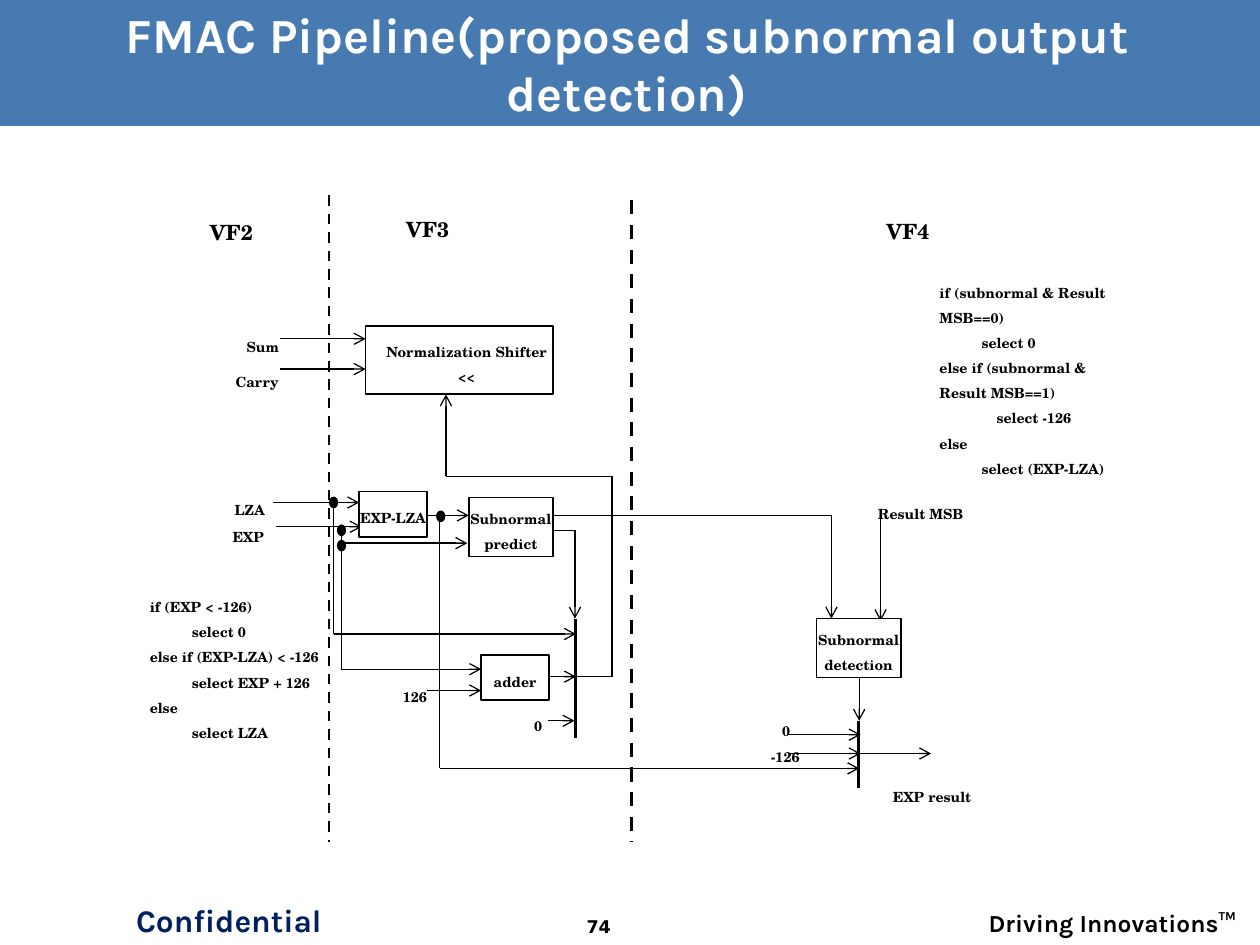
"""Build the FMAC pipeline slide on proposed subnormal output detection."""
from lxml import etree
from pptx import Presentation
from pptx.dml.color import RGBColor
from pptx.enum.dml import MSO_LINE
from pptx.enum.shapes import MSO_CONNECTOR, MSO_SHAPE
from pptx.enum.text import MSO_ANCHOR, PP_ALIGN
from pptx.oxml.ns import qn
from pptx.util import Cm, Pt

BLACK = RGBColor(0x00, 0x00, 0x00)
WHITE = RGBColor(0xFF, 0xFF, 0xFF)
BLUE = RGBColor(0x47, 0x7A, 0xB1)
NAVY = RGBColor(0x00, 0x20, 0x60)
LEFT, MID, RIGHT = PP_ALIGN.LEFT, PP_ALIGN.CENTER, PP_ALIGN.RIGHT
RECT, OVAL = MSO_SHAPE.RECTANGLE, MSO_SHAPE.OVAL
MIDDLE, TOP = MSO_ANCHOR.MIDDLE, MSO_ANCHOR.TOP
STRAIGHT, DASH = MSO_CONNECTOR.STRAIGHT, MSO_LINE.DASH
SERIF, SANS, PLAIN = "TeX Gyre Schola", "Karla", "DejaVu Sans"

deck = Presentation()
deck.slide_width, deck.slide_height = Cm(25.4), Cm(19.05)
slide = deck.slides.add_slide(deck.slide_layouts[6])
shapes = slide.shapes


def write(shape, text, size, align, font=SERIF, color=BLACK, space=1.5, anchor=MIDDLE):
    frame = shape.text_frame
    frame.text = text
    frame.word_wrap = True
    frame.vertical_anchor = anchor
    for para in frame.paragraphs:
        para.alignment = align
        para.line_spacing = space
        for run in para.runs:
            run.font.size = Pt(size)
            run.font.bold = True
            run.font.color.rgb = color
            run.font.name = font
    return frame


def wire(points, width=0.75, arrow=True, dash=None):
    for start, end in zip(points, points[1:]):
        line = shapes.add_connector(STRAIGHT, *map(Cm, start + end))
        line.line.color.rgb = BLACK
        line.line.width = Pt(width)
        if dash:
            line.line.dash_style = dash
        props = line._element.spPr
        if arrow and end == points[-1]:
            tail = etree.SubElement(props.find(qn("a:ln")), qn("a:tailEnd"))
            tail.set("type", "arrow")
        etree.SubElement(props, qn("a:effectLst"))


band = shapes.add_shape(RECT, 0, 0, Cm(25.4), Cm(2.54))
band.shadow.inherit = False
band.fill.solid()
band.fill.fore_color.rgb = BLUE
band.line.fill.background()

title = shapes.add_textbox(Cm(0.56), Cm(0.43), Cm(24.16), Cm(1.68))
frame = write(title, "FMAC Pipeline(proposed subnormal output detection)",
              28, MID, SANS, WHITE, 1)
props = frame.paragraphs[0].runs[0].font._element
glow = etree.Element(qn("a:effectLst"))
shade = etree.SubElement(glow, qn("a:outerShdw"), dist="35921", dir="2700000")
etree.SubElement(shade, qn("a:srgbClr"), val="000000")
props.insert(1, glow)

FOOTER = [
    ("Confidential", 2.39, 18.03, 4.45, 1.07, 18, MID, SANS, NAVY),
    ("74", 10.9, 18.34, 2.34, 0.71, 10, MID, PLAIN, BLACK),
    ("Driving Innovations™", 19.15, 18.19, 6.02, 0.69, 14, RIGHT, SANS, BLACK),
]
for text, x, y, w, h, size, align, font, color in FOOTER:
    box = shapes.add_textbox(Cm(x), Cm(y), Cm(w), Cm(h))
    write(box, text, size, align, font, color, 1, TOP)

LABELS = [
    ("VF2", 3.56, 4.19, 2.21, 12, MID),
    ("VF3", 7.52, 4.14, 2.21, 12, MID),
    ("VF4", 17.2, 4.17, 2.21, 12, MID),
    ("Sum", 4.5, 6.55, 1.6, 8, MID),
    ("Carry", 4.32, 7.26, 1.73, 8, MID),
    ("LZA", 4.17, 9.83, 1.73, 8, MID),
    ("EXP", 4.14, 10.39, 1.73, 8, MID),
    ("126", 7.87, 13.61, 1.24, 8, LEFT),
    ("0", 10.52, 14.2, 0.71, 8, LEFT),
    ("0", 15.52, 14.3, 0.71, 8, LEFT),
    ("-126", 15.29, 14.81, 1.17, 8, LEFT),
    ("Result MSB", 17.45, 9.93, 4.8, 8, LEFT),
    ("EXP result", 17.75, 15.62, 2.21, 8, LEFT),
]
for text, x, y, w, size, align in LABELS:
    label = shapes.add_textbox(Cm(x), Cm(y), Cm(w), Cm(0.71))
    write(label, text, size, align)

RULES = [
    (2.77, 11.58, 3.68,
     [("if (EXP < -126)", 0), ("select 0", 0.85),
      ("else if (EXP-LZA) < -126", 0), ("select EXP + 126", 0.85),
      ("else", 0), ("select LZA", 0.85)]),
    (18.69, 4.95, 5.28,
     [("if (subnormal & Result MSB==0)", 0), ("select 0", 0.85),
      ("else if (subnormal & Result MSB==1)", 0), ("select -126", 1.15),
      ("else", 0), ("select (EXP-LZA)", 0.85)]),
]
for x, y, h, rows in RULES:
    note = shapes.add_textbox(Cm(x), Cm(y), Cm(4.17), Cm(h))
    frame = write(note, "\n".join(text for text, _ in rows), 8, LEFT)
    for para, (_, indent) in zip(frame.paragraphs, rows):
        para._p.get_or_add_pPr().set("indent", str(Cm(indent)))

wire([(6.63, 3.94), (6.63, 16.97)], 1.5, False, DASH)
wire([(12.73, 4.04), (12.73, 16.97)], 2, False, DASH)
for x, top, base in [(11.61, 12.47, 14.88), (17.3, 14.53, 15.88)]:
    wire([(x, top), (x, base)], 1.75, False)

WIRES = [
    [(5.64, 6.83), (7.37, 6.83)],
    [(5.64, 7.44), (7.37, 7.44)],
    [(5.51, 10.13), (7.24, 10.13)],
    [(5.56, 10.62), (7.29, 10.62)],
    [(8.61, 10.39), (9.45, 10.39)],
    [(6.88, 10.95), (9.42, 10.95)],
    [(6.88, 10.62), (6.88, 13.49), (9.7, 13.49)],
    [(8.61, 13.92), (9.7, 13.92)],
    [(6.73, 10.13), (6.73, 12.78), (11.61, 12.78)],
    [(11.07, 13.64), (11.61, 13.64)],
    [(11.05, 14.53), (11.58, 14.53)],
    [(11.58, 13.64), (12.34, 13.64), (12.34, 9.6), (8.99, 9.6), (8.99, 7.95)],
    [(11.15, 10.69), (11.59, 10.69), (11.59, 12.47)],
    [(8.86, 10.41), (8.86, 15.49), (17.32, 15.49)],
    [(11.15, 10.39), (16.76, 10.39), (16.76, 12.47)],
    [(17.75, 10.41), (17.75, 12.52)],
    [(17.32, 13.67), (17.32, 14.53)],
    [(15.88, 14.81), (17.35, 14.81)],
    [(15.88, 15.19), (17.35, 15.19)],
    [(17.3, 15.19), (18.77, 15.19)],
]
for points in WIRES:
    wire(points)

BLOCKS = [
    (RECT, "Normalization Shifter\n<<", 7.37, 6.58, 3.78, 1.37, 0.3),
    (RECT, "EXP-LZA", 7.24, 9.91, 1.37, 0.91, 0),
    (RECT, "Subnormal\npredict", 9.45, 10.03, 1.7, 1.19, 0),
    (RECT, "adder", 9.7, 13.21, 1.37, 0.91, 0),
    (RECT, "Subnormal\ndetection", 16.46, 12.47, 1.7, 1.19, 0),
    (OVAL, "", 6.65, 10.03, 0.15, 0.2, 0),
    (OVAL, "", 6.81, 10.59, 0.15, 0.2, 0),
    (OVAL, "", 6.81, 10.9, 0.15, 0.2, 0),
    (OVAL, "", 8.81, 10.31, 0.15, 0.2, 0),
]
for kind, text, x, y, w, h, inset in BLOCKS:
    block = shapes.add_shape(kind, Cm(x), Cm(y), Cm(w), Cm(h))
    block.shadow.inherit = False
    block.fill.solid()
    block.fill.fore_color.rgb = WHITE if text else BLACK
    block.line.color.rgb = BLACK
    block.line.width = Pt(1)
    if text:
        frame = write(block, text, 8, MID)
        frame.word_wrap = False
        frame.margin_left, frame.margin_right = Cm(inset), 0

deck.save("out.pptx")
